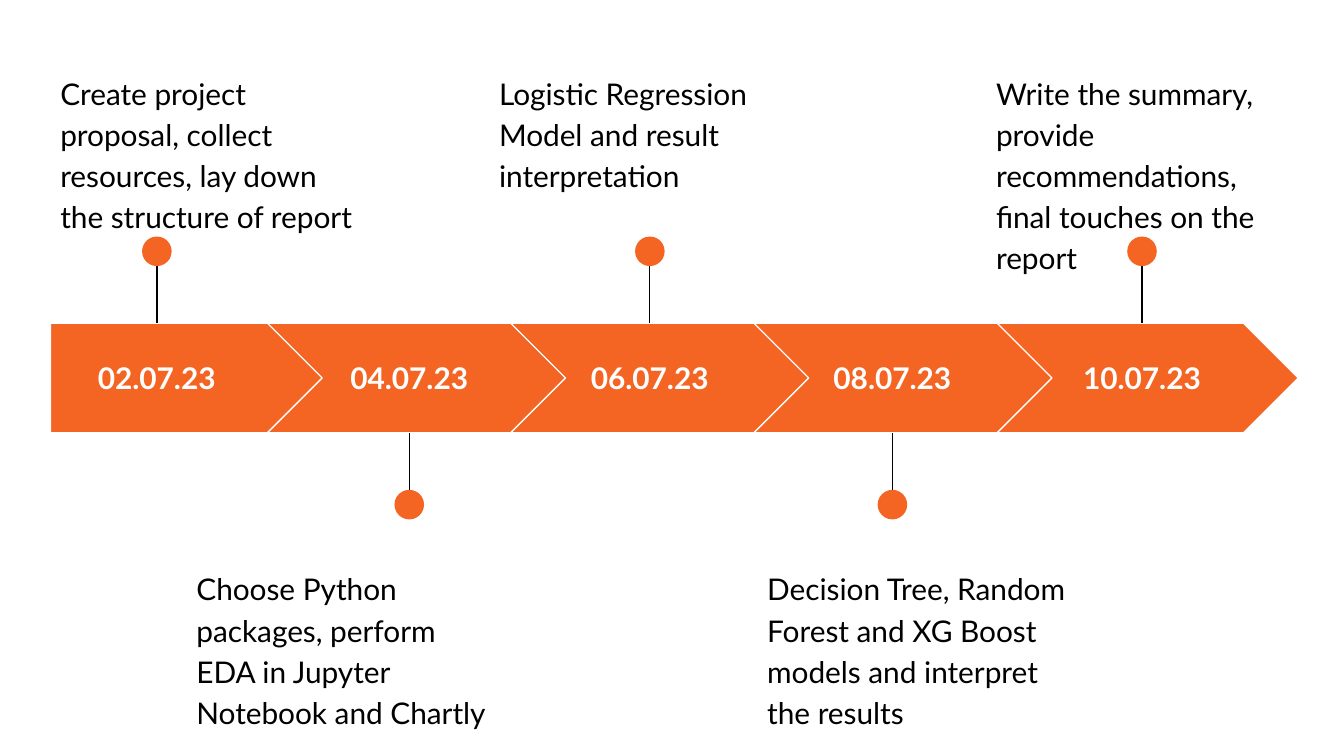
from dataclasses import dataclass

from lxml.etree import SubElement
from pptx import Presentation
from pptx.dml.color import RGBColor
from pptx.enum.shapes import MSO_CONNECTOR, MSO_SHAPE
from pptx.enum.text import MSO_ANCHOR, PP_ALIGN
from pptx.oxml.ns import qn
from pptx.shapes.autoshape import Shape
from pptx.slide import Slide
from pptx.util import Inches, Pt


@dataclass(frozen=True)
class Theme:
    accent: RGBColor = RGBColor(0xF4, 0x65, 0x24)
    light: RGBColor = RGBColor(0xFF, 0xFF, 0xFF)
    dark: RGBColor = RGBColor(0x00, 0x00, 0x00)
    font: str = "Lato"
    text_size: Pt = Pt(16)
    line_width: Pt = Pt(0.75)


@dataclass(frozen=True)
class Box:
    """A rectangle in grid units."""
    left: float
    top: float
    width: float
    height: float

    def lengths(self) -> list[int]:
        return [grid(value) for value in (self.left, self.top, self.width, self.height)]


@dataclass(frozen=True)
class Milestone:
    date: str
    note: str
    center: float  # column of the date and its pin
    note_left: float


THEME = Theme()
SLIDE_WIDTH = Inches(10)
SLIDE_HEIGHT = SLIDE_WIDTH * 9 // 16

# The grid: one unit is a hundredth of the slide's width, across and down
BAND_LEFT, BAND_TOP, BAND_HEIGHT = 3.75, 24.05, 8.15
STEP, ARROW_START, ARROW_WIDTH = 18.1, 1.8, 22.4
DATE_WIDTH, DATE_HEIGHT = 14.4, 5.1
NOTE_WIDTH, NOTE_HEIGHT = 24.5, 9.9
NOTE_TOP_ABOVE, NOTE_TOP_BELOW = 4.2, 41.1
DOT_SIZE, PIN_LENGTH = 2.2, 6.45

MILESTONES = [
    Milestone("02.07.23", "Create project proposal, collect resources, "
              "lay down the structure of report", 11.67, 3.5),
    Milestone("04.07.23", "Choose Python packages, perform EDA in Jupyter "
              "Notebook and Chartly", 30.45, 13.63),
    Milestone("06.07.23", "Logistic Regression Model and result interpretation",
              48.35, 36.15),
    Milestone("08.07.23", "Decision Tree, Random Forest and XG Boost models "
              "and interpret the results", 66.4, 56.1),
    Milestone("10.07.23", "Write the summary, provide recommendations, "
              "final touches on the report", 84.97, 73.13),
]


def grid(units: float) -> int:
    return round(SLIDE_WIDTH * units / 100)


def apply_format(target: object, values: dict[str, object]) -> None:
    for name, value in values.items():
        setattr(target, name, value)


def add_filled_shape(slide: Slide, kind: MSO_SHAPE, box: Box) -> Shape:
    shape = slide.shapes.add_shape(kind, *box.lengths())
    shape.shadow.inherit = False
    shape.fill.solid()
    shape.fill.fore_color.rgb = THEME.accent
    shape.line.fill.background()
    return shape


def add_text(slide: Slide, text: str, box: Box, color: RGBColor,
             frame_format: dict[str, object], paragraph_format: dict[str, object],
             bold: bool = False) -> None:
    frame = slide.shapes.add_textbox(*box.lengths()).text_frame
    margins = {f"margin_{side}": Inches(0.1) for side in ("left", "top", "right", "bottom")}
    apply_format(frame, {"word_wrap": True, **margins, **frame_format})
    paragraph = frame.paragraphs[0]
    apply_format(paragraph, paragraph_format)
    run = paragraph.add_run()
    run.text = text
    apply_format(run.font, {"name": THEME.font, "size": THEME.text_size, "bold": bold})
    run.font.color.rgb = color


def add_arrow(slide: Slide, index: int) -> None:
    left = ARROW_START + STEP * index
    kind, width = MSO_SHAPE.CHEVRON, ARROW_WIDTH
    if index == 0:  # the first arrow has a flat, shorter tail
        kind, width = MSO_SHAPE.PENTAGON, left + ARROW_WIDTH - BAND_LEFT
        left = BAND_LEFT
    arrow = add_filled_shape(slide, kind, Box(left, BAND_TOP, width, BAND_HEIGHT))
    arrow.adjustments[0] = 0.5
    arrow.line.color.rgb = THEME.light
    arrow.line.width = THEME.line_width


def add_date(slide: Slide, milestone: Milestone) -> None:
    top = BAND_TOP + (BAND_HEIGHT - DATE_HEIGHT) / 2
    box = Box(milestone.center - DATE_WIDTH / 2, top, DATE_WIDTH, DATE_HEIGHT)
    add_text(slide, milestone.date, box, THEME.light,
             {"vertical_anchor": MSO_ANCHOR.MIDDLE},
             {"alignment": PP_ALIGN.CENTER}, bold=True)


def add_pin(slide: Slide, center: float, above: bool) -> None:
    edge = BAND_TOP if above else BAND_TOP + BAND_HEIGHT
    tip = edge - PIN_LENGTH if above else edge + PIN_LENGTH
    dot_top = tip if above else tip - DOT_SIZE
    stem_end = dot_top + DOT_SIZE / 2
    stem = slide.shapes.add_connector(MSO_CONNECTOR.STRAIGHT, grid(center), grid(stem_end),
                                      grid(center), grid(edge))
    stem.line.color.rgb = THEME.dark
    stem.line.width = THEME.line_width
    SubElement(stem.element.spPr, qn("a:effectLst"))
    add_filled_shape(slide, MSO_SHAPE.OVAL,
                     Box(center - DOT_SIZE / 2, dot_top, DOT_SIZE, DOT_SIZE))


def add_note(slide: Slide, milestone: Milestone, above: bool) -> None:
    top = NOTE_TOP_ABOVE if above else NOTE_TOP_BELOW
    add_text(slide, milestone.note, Box(milestone.note_left, top, NOTE_WIDTH, NOTE_HEIGHT),
             THEME.dark, {"vertical_anchor": MSO_ANCHOR.TOP}, {"line_spacing": 1.15})


def main() -> None:
    presentation = Presentation()
    apply_format(presentation, {"slide_width": SLIDE_WIDTH, "slide_height": SLIDE_HEIGHT})
    slide = presentation.slides.add_slide(presentation.slide_layouts[6])

    # Timeline: pins and notes alternate above and below the band
    for index, milestone in enumerate(MILESTONES):
        above = index % 2 == 0
        add_arrow(slide, index)
        add_date(slide, milestone)
        add_pin(slide, milestone.center, above)
        add_note(slide, milestone, above)

    presentation.save("out.pptx")


if __name__ == "__main__":
    main()
